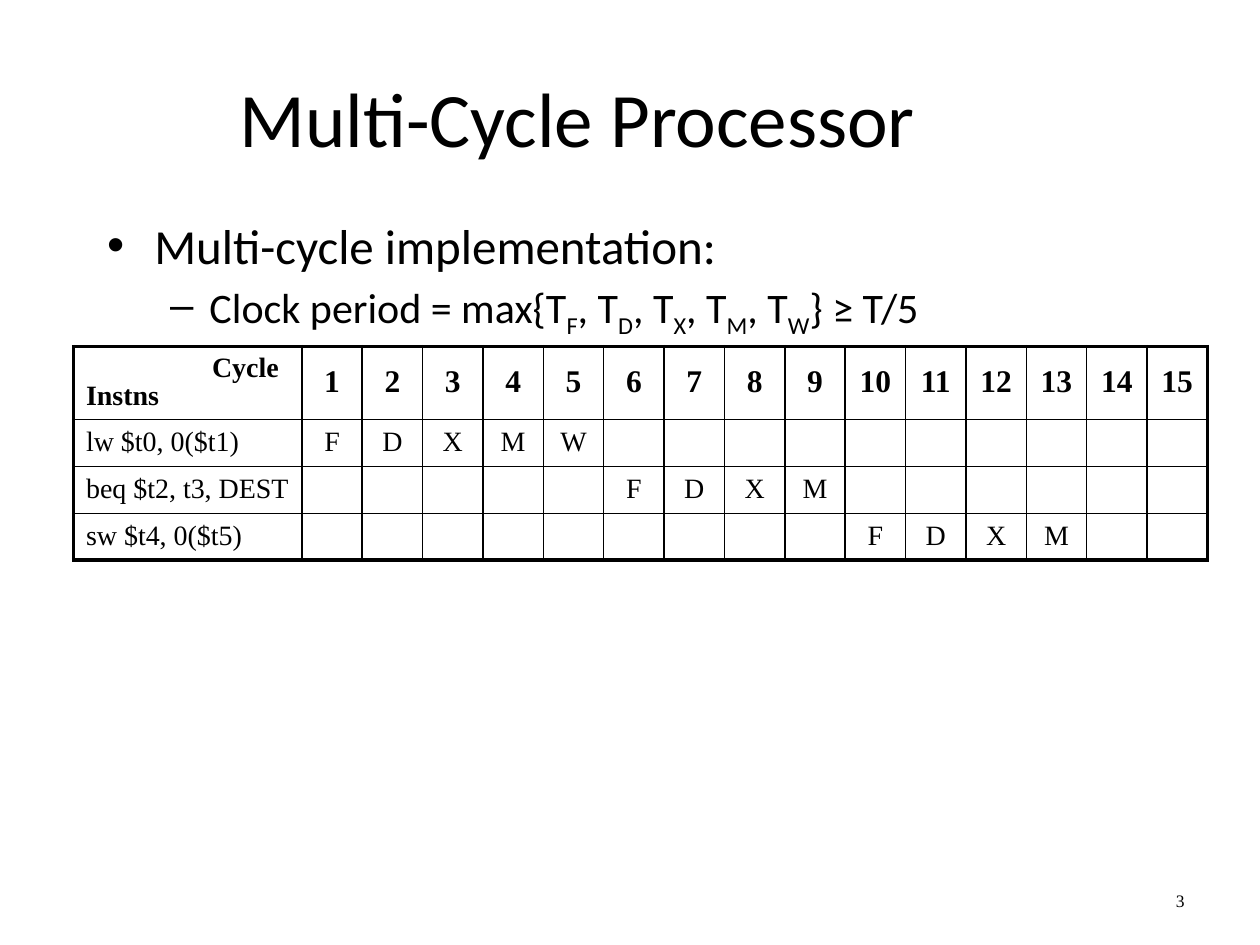
from pptx import Presentation
from pptx.dml.color import RGBColor
from pptx.enum.text import MSO_ANCHOR as ANCHOR, MSO_AUTO_SIZE as AUTO, PP_ALIGN as ALIGN
from pptx.oxml import parse_xml
from pptx.oxml.ns import nsdecls
from pptx.util import Pt

BLACK = "000000"
SERIF = "Times New Roman"
CYCLES = 15
INSTRUCTIONS = [("lw $t0, 0($t1)", 1, "FDXMW"),
                ("beq $t2, t3, DEST", 6, "FDXM"),
                ("sw $t4, 0($t5)", 10, "FDXM")]


def rgb(code):
    """Turn a hex string into a colour."""
    return RGBColor.from_string(code)


def place(s, x, y, w, h):
    """Move and size a shape in points."""
    s.left, s.top, s.width, s.height = Pt(x), Pt(y), Pt(w), Pt(h)


def style(p, size, name="Calibri", bold=False, align=ALIGN.LEFT):
    """Set the font and alignment of a paragraph."""
    p.font.size, p.font.name, p.font.bold = Pt(size), name, bold
    p.font.color.rgb = rgb(BLACK)
    p.alignment = align


def indent(p, left, first):
    """Set the left margin and first-line indent of a paragraph."""
    pPr = p._p.get_or_add_pPr()
    pPr.set("marL", str(Pt(left)))
    pPr.set("indent", str(Pt(first)))


def add_title(sp, text):
    """Fill the title placeholder."""
    place(sp, 36, 21.6, 588, 90)
    tf = sp.text_frame
    tf.text, tf.vertical_anchor = text, ANCHOR.MIDDLE
    style(tf.paragraphs[0], 44, align=ALIGN.CENTER)


def add_body(sp):
    """Fill the body placeholder with the bullet and the clock formula."""
    place(sp, 54, 126, 660, 132)
    tf = sp.text_frame
    tf.auto_size = AUTO.NONE
    p = tf.paragraphs[0]
    p.text = "Multi-cycle implementation:"
    indent(p, 27, -27)
    style(p, 28)
    p.line_spacing, p.space_before = 0.8, Pt(0)

    p = tf.add_paragraph()
    p.level = 1
    indent(p, 58.5, -22.5)
    style(p, 24)
    p.line_spacing, p.space_before = 0.9, Pt(4.8)
    lead = "Clock period = max{T"
    for stage in "FDXMW":
        p.add_run().text = lead
        r = p.add_run()
        r.text = stage
        r._r.get_or_add_rPr().set("baseline", "-25000")
        lead = ", T"
    p.add_run().text = "} ≥ T/5"


def add_borders(cell, widths):
    """Draw the left, right, top and bottom borders of a cell."""
    tcPr = cell._tc.get_or_add_tcPr()
    for i, (side, width) in enumerate(zip("LRTB", widths)):
        tcPr.insert(i, parse_xml(
            f'<a:ln{side} {nsdecls("a")} w="{Pt(width)}"><a:solidFill>'
            f'<a:srgbClr val="{BLACK}"/></a:solidFill></a:ln{side}>'))


def fill_cell(cell, text, size, bold, align):
    """Write one table cell without a background."""
    cell.fill.background()
    cell.vertical_anchor = ANCHOR.MIDDLE
    p = cell.text_frame.paragraphs[0]
    p.text = text
    style(p, size, SERIF, bold, align)
    p.line_spacing, p.space_before = 0.9, Pt(0)


def add_pipeline(slide):
    """Add the table of pipeline stages per clock cycle."""
    rows = [["Cycle\vInstns"] + [str(n + 1) for n in range(CYCLES)]]
    for name, start, stages in INSTRUCTIONS:
        rows.append([name] + list((" " * (start - 1) + stages).ljust(CYCLES)))
    last = len(rows) - 1
    table = slide.shapes.add_table(len(rows), CYCLES + 1, Pt(42), Pt(198),
                                   Pt(648), Pt(120)).table
    table.first_row = table.horz_banding = False
    for c, col in enumerate(table.columns):
        col.width = Pt(34.5 if c else 130.5)
    for r, row in enumerate(rows):
        table.rows[r].height = Pt(26.8 if r else 39.6)
        for c, text in enumerate(row):
            cell = table.cell(r, c)
            fill_cell(cell, text.strip(" "), 18 if r == 0 and c else 16, r == 0,
                      ALIGN.CENTER if c else ALIGN.LEFT)
            outer = (c == 0, c == CYCLES, r == 0, r == last)
            add_borders(cell, [2.25 if edge else 1 for edge in outer])
    indent(table.cell(0, 0).text_frame.paragraphs[0], 0, 72)


def add_number(slide, text):
    """Add the slide number at the bottom right."""
    tf = slide.shapes.add_textbox(Pt(600), Pt(500.4), Pt(84), Pt(28.8)).text_frame
    tf.word_wrap, tf.vertical_anchor = True, ANCHOR.MIDDLE
    tf.text = text
    style(tf.paragraphs[0], 10, SERIF, align=ALIGN.RIGHT)


def main():
    """Build the slide."""
    prs = Presentation()
    prs.slide_width, prs.slide_height = Pt(720), Pt(540)
    slide = prs.slides.add_slide(prs.slide_layouts[1])
    add_title(slide.shapes.title, "Multi-Cycle Processor")
    add_body(slide.placeholders[1])
    add_number(slide, "3")
    add_pipeline(slide)
    prs.save("out.pptx")


if __name__ == "__main__":
    main()
